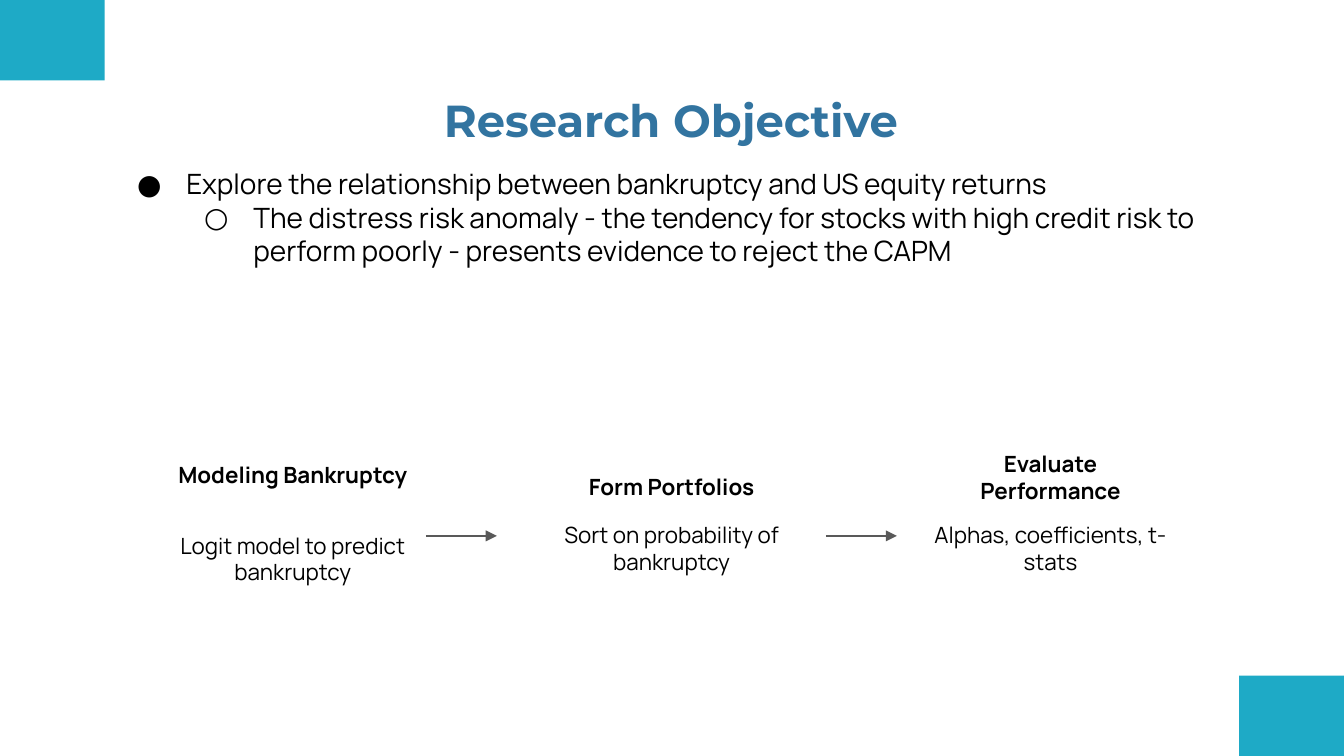
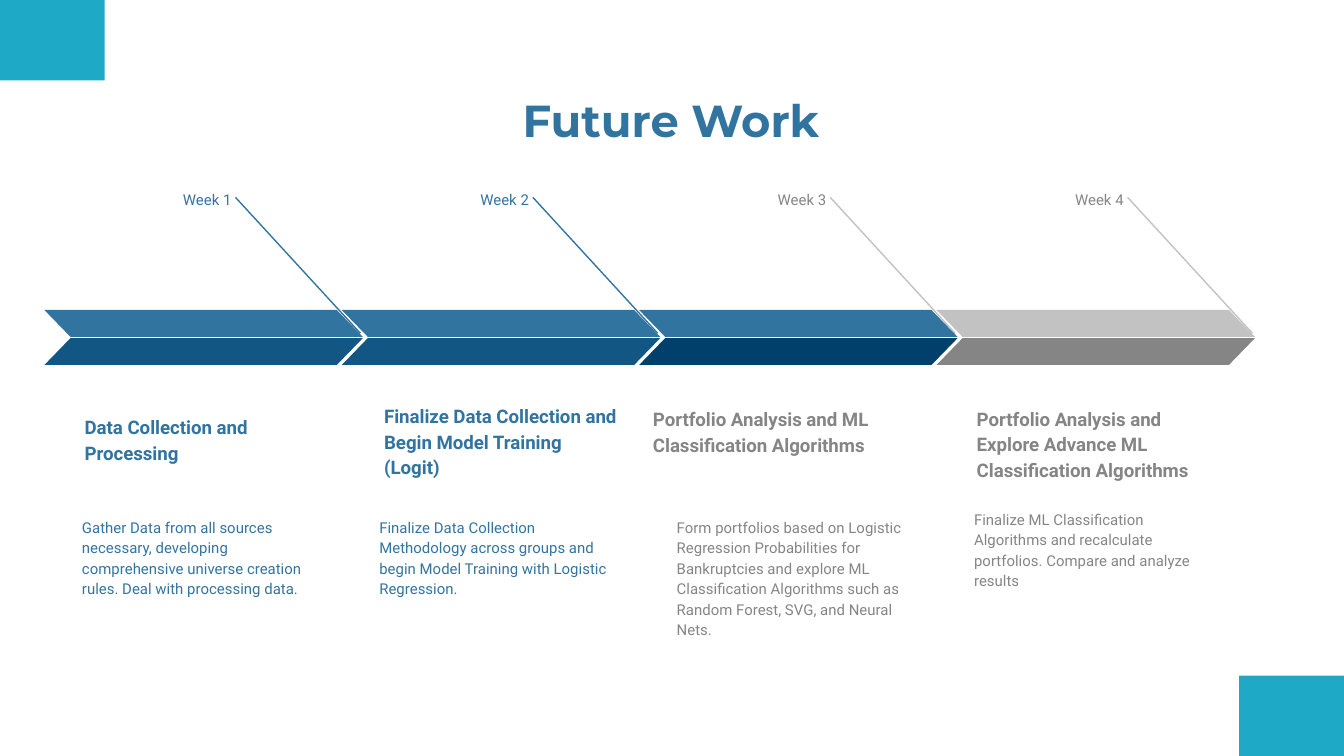
from dataclasses import dataclass

from lxml.etree import SubElement
from pptx import Presentation
from pptx.dml.color import RGBColor
from pptx.enum.shapes import MSO_CONNECTOR as Link, MSO_SHAPE as Preset
from pptx.enum.text import MSO_ANCHOR as Anchor, MSO_AUTO_SIZE as AutoSize, PP_ALIGN as Align
from pptx.oxml.ns import qn
from pptx.util import Cm, Pt

COLORS = {
    "corner": "1EAAC6", "blue": "3274A0", "deep": "125784", "navy": "00406A",
    "gray": "858585", "light": "C2C2C2", "arrow": "595959", "black": "000000",
}
WIDTH, HEIGHT = 25.4, 14.29


@dataclass(frozen=True)
class Frame:
    """Left, top, width and height in centimetres."""
    left: float
    top: float
    width: float
    height: float

    def lengths(self) -> tuple:
        return Cm(self.left), Cm(self.top), Cm(self.width), Cm(self.height)


@dataclass(frozen=True)
class Style:
    font: str
    size: float
    color: str
    bold: bool = False
    align: Align = Align.LEFT
    spacing: float = 1.0
    after: float = 0


@dataclass(frozen=True)
class Step:
    heading: str
    detail: str
    heading_top: float
    detail_top: float


@dataclass(frozen=True)
class Week:
    heading: str
    detail: str
    text_color: str
    line_color: str
    upper: str
    lower: str
    heading_frame: Frame
    detail_top: float = 9.5


TITLE_FRAME = Frame(2, 1.5, 21.36, 1.32)
BODY_FRAME = Frame(2, 2.9, 21.36, 9.88)
TITLE = Style("Montserrat", 24, "blue", True, Align.CENTER)
BULLET = Style("Manrope", 15, "black")
STEP_HEADING = Style("Manrope", 12, "black", True, Align.CENTER, after=16)
STEP_DETAIL = Style("Manrope", 12, "black", False, Align.CENTER, after=16)

BULLETS = [
    ("●", "Explore the relationship between bankruptcy and US equity returns"),
    ("○", "The distress risk anomaly - the tendency for stocks with high credit risk to "
          "perform poorly - presents evidence to reject the CAPM"),
]
STEPS = [
    Step("Modeling Bankruptcy", "Logit model to predict bankruptcy", 8.46, 9.8),
    Step("Form Portfolios", "Sort on probability of bankruptcy", 8.69, 9.6),
    Step("Evaluate Performance", "Alphas, coefficients, t-stats", 8.26, 9.6),
]
STEP_LEFT, STEP_PITCH, STEP_WIDTH = 3.07, 7.16, 4.93
ARROW_LEFTS, ARROW_TOP, ARROW_LENGTH = (8.05, 15.61), 10.13, 1.34

WEEKS = [
    Week("Data Collection and Processing",
         "Gather Data from all sources necessary, developing comprehensive universe "
         "creation rules. Deal with processing data.",
         "blue", "blue", "blue", "deep", Frame(1.35, 7.47, 4.95, 1.55)),
    Week("Finalize Data Collection and Begin Model Training (Logit)",
         "Finalize Data Collection Methodology across groups and begin Model Training "
         "with Logistic Regression.",
         "blue", "blue", "blue", "deep", Frame(7.01, 7.75, 4.95, 1.55)),
    Week("Portfolio Analysis and ML Classification Algorithms",
         "Form portfolios based on Logistic Regression Probabilities for Bankruptcies and "
         "explore ML Classification Algorithms such as Random Forest, SVG, and Neural Nets.",
         "gray", "light", "blue", "navy", Frame(12.09, 7.32, 5.61, 1.55)),
    Week("Portfolio Analysis and Explore Advance ML Classification Algorithms",
         "Finalize ML Classification Algorithms and recalculate portfolios. Compare and "
         "analyze results",
         "gray", "light", "light", "gray", Frame(18.21, 7.8, 4.95, 1.55), 9.35),
]
WEEK_LEFT, WEEK_PITCH = 0.84, 5.62


def rgb(name: str) -> RGBColor:
    return RGBColor.from_string(COLORS[name])


def prepare_frame(shape, anchor: Anchor = Anchor.TOP):
    """Give a text frame the shared insets, wrapping and anchor."""
    frame = shape.text_frame
    frame.word_wrap = True
    frame.auto_size = AutoSize.NONE
    frame.vertical_anchor = anchor
    frame.margin_left = frame.margin_right = Cm(0.25)
    frame.margin_top = frame.margin_bottom = Cm(0.25)
    return frame


def write(para, text: str, style: Style) -> None:
    para.alignment = style.align
    para.line_spacing = style.spacing
    para.space_before = Pt(0)
    para.space_after = Pt(style.after)
    span = para.add_run()
    span.text = text
    span.font.name = style.font
    span.font.size = Pt(style.size)
    span.font.bold = style.bold
    span.font.color.rgb = rgb(style.color)


def place(shape, frame: Frame) -> None:
    shape.left, shape.top, shape.width, shape.height = frame.lengths()


def add_text(shapes, frame: Frame, text: str, style: Style, anchor: Anchor = Anchor.TOP) -> None:
    box = shapes.add_textbox(*frame.lengths())
    write(prepare_frame(box, anchor).paragraphs[0], text, style)


def add_block(shapes, preset: Preset, frame: Frame, color: str):
    block = shapes.add_shape(preset, *frame.lengths())
    block.shadow.inherit = False
    block.fill.solid()
    block.fill.fore_color.rgb = rgb(color)
    block.line.fill.background()
    return block


def add_line(shapes, start: tuple[float, float], end: tuple[float, float],
             color: str, arrow: bool = False) -> None:
    line = shapes.add_connector(Link.STRAIGHT, *map(Cm, start + end))
    line.line.color.rgb = rgb(color)
    line.line.width = Pt(0.75)
    properties = line.element.spPr
    if arrow:
        SubElement(properties.find(qn("a:ln")), qn("a:tailEnd"), type="triangle")
    SubElement(properties, qn("a:effectLst"))


def add_bullet(para, level: int, mark: str, text: str) -> None:
    para.level = level
    write(para, text, BULLET)
    properties = para._p.get_or_add_pPr()
    properties.set("marL", str(Cm(1.27 * (level + 1))))
    properties.set("indent", str(-Cm(0.93)))
    color = SubElement(properties, qn("a:buClr"))
    SubElement(color, qn("a:srgbClr"), val=COLORS["black"])
    SubElement(properties, qn("a:buFont"), typeface=BULLET.font)
    SubElement(properties, qn("a:buChar"), char=mark)


def add_slide(deck, layout: int, title: str):
    slide = deck.slides.add_slide(deck.slide_layouts[layout])
    place(slide.shapes.title, TITLE_FRAME)
    write(prepare_frame(slide.shapes.title).paragraphs[0], title, TITLE)
    return slide


def add_master_corners(deck, slide) -> None:
    """Draw both corner blocks and move them to the slide master."""
    width, height = 1.98, 1.52
    corners = [(0, 0), (WIDTH - width, HEIGHT - height)]
    for index, (left, top) in enumerate(corners):
        corner = add_block(slide.shapes, Preset.RECTANGLE, Frame(left, top, width, height), "corner")
        corner.element.nvSpPr.cNvPr.set("id", str(100 + index))
        deck.slide_master.shapes.element.insert(2 + index, corner.element)


def build_objective(deck) -> None:
    slide = add_slide(deck, 1, "Research Objective")
    add_master_corners(deck, slide)
    body = slide.placeholders[1]
    place(body, BODY_FRAME)
    frame = prepare_frame(body)
    for level, (mark, text) in enumerate(BULLETS):
        para = frame.add_paragraph() if level else frame.paragraphs[0]
        add_bullet(para, level, mark, text)
    for index, step in enumerate(STEPS):
        left = STEP_LEFT + index * STEP_PITCH
        add_text(slide.shapes, Frame(left, step.heading_top, STEP_WIDTH, 1.5),
                 step.heading, STEP_HEADING)
        add_text(slide.shapes, Frame(left, step.detail_top, STEP_WIDTH, 2.24),
                 step.detail, STEP_DETAIL)
    for left in ARROW_LEFTS:
        add_line(slide.shapes, (left, ARROW_TOP), (left + ARROW_LENGTH, ARROW_TOP), "arrow", True)


def add_week(slide, index: int, week: Week) -> None:
    left = WEEK_LEFT + index * WEEK_PITCH
    shapes = slide.shapes.add_group_shape().shapes
    label = Style("Roboto", 8, week.text_color, align=Align.RIGHT, spacing=1.15, after=16)
    heading = Style("Roboto", 10, week.text_color, True, spacing=1.15)
    detail = Style("Roboto", 8, week.text_color, spacing=1.15, after=16)
    add_text(shapes, Frame(left + 1.73, 3.3, 2.06, 0.84), f"Week {index + 1}", label)
    add_text(shapes, week.heading_frame, week.heading, heading, Anchor.BOTTOM)
    add_text(shapes, Frame(left + 0.46, week.detail_top, 5.08, 2.57), week.detail, detail)
    add_line(shapes, (left + 3.61, 3.73), (left + 5.97, 6.3), week.line_color)
    for top, color, flipped in ((5.86, week.upper, True), (6.39, week.lower, False)):
        bar = add_block(shapes, Preset.PARALLELOGRAM, Frame(left, top, 6.02, 0.51), color)
        bar.adjustments[0] = 0.97
        if flipped:
            bar.element.spPr.find(qn("a:xfrm")).set("flipH", "1")


def build_future_work(deck) -> None:
    slide = add_slide(deck, 5, "Future Work")
    for index, week in enumerate(WEEKS):
        add_week(slide, index, week)


def main() -> None:
    deck = Presentation()
    deck.slide_width, deck.slide_height = Cm(WIDTH), Cm(HEIGHT)
    build_objective(deck)
    build_future_work(deck)
    deck.save("out.pptx")


if __name__ == "__main__":
    main()
